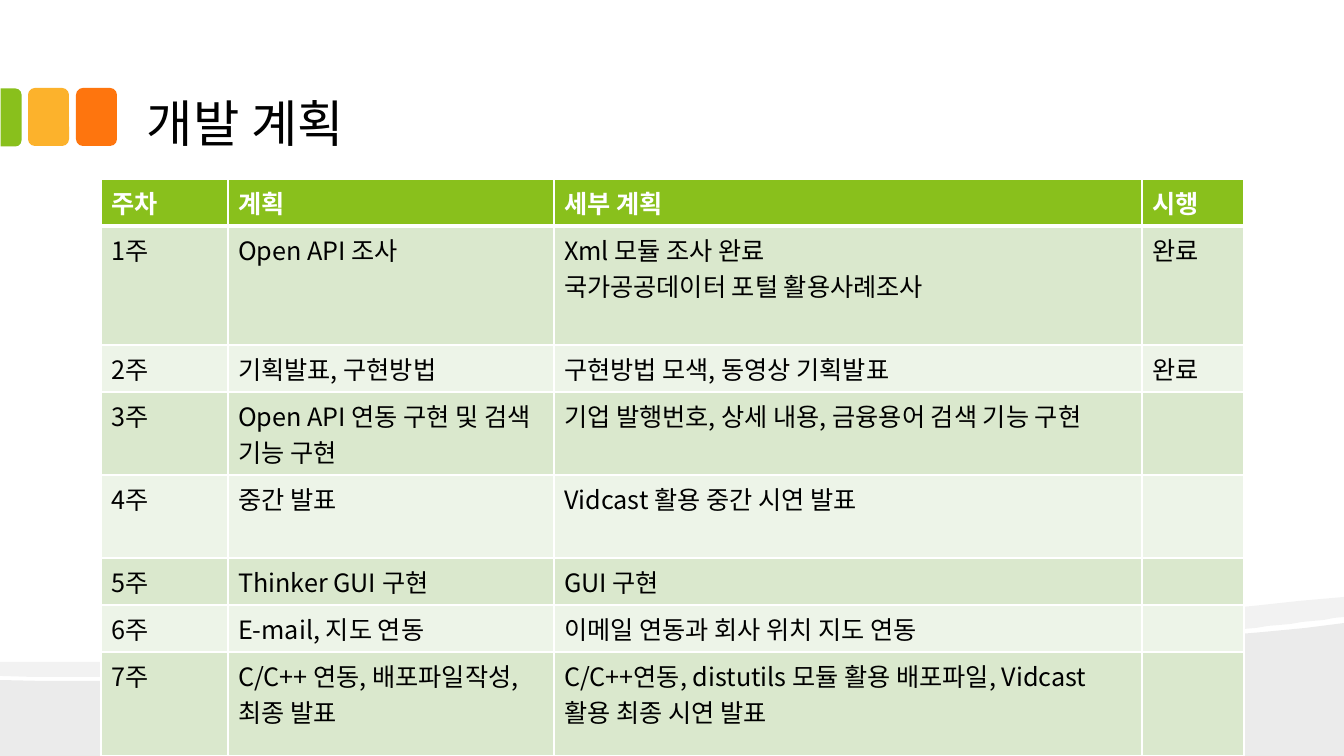
from lxml import etree
from pptx import Presentation
from pptx.dml.color import RGBColor
from pptx.enum.shapes import MSO_SHAPE
from pptx.enum.text import MSO_ANCHOR
from pptx.oxml.ns import qn
from pptx.util import Emu, Pt

ROUNDED = MSO_SHAPE.ROUNDED_RECTANGLE
ROUNDED_TOP = MSO_SHAPE.ROUND_2_SAME_RECTANGLE
BOTTOM = MSO_ANCHOR.BOTTOM

BLACK = RGBColor(0x00, 0x00, 0x00)
WHITE = RGBColor(0xFF, 0xFF, 0xFF)
GREEN = RGBColor(0x89, 0xC0, 0x1C)
YELLOW = RGBColor(0xFC, 0xB2, 0x2C)
ORANGE = RGBColor(0xFE, 0x75, 0x0E)
BAND_DARK = RGBColor(0xDA, 0xE8, 0xCD)
BAND_LIGHT = RGBColor(0xED, 0xF4, 0xE8)

FONT = "Noto Sans CJK KR"
WIDTH, HEIGHT = 1344, 756
SCALE = 12192000 / WIDTH

COLUMN_WIDTHS = [127, 326, 588, 102]
ROW_HEIGHTS = [47, 119, 47, 83, 83, 47, 47, 104]
PLAN = [
    ["주차", "계획", "세부 계획", "시행"],
    ["1주", "Open API 조사", "Xml 모듈 조사 완료\n국가공공데이터 포털 활용사례조사", "완료"],
    ["2주", "기획발표, 구현방법", "구현방법 모색, 동영상 기획발표", "완료"],
    ["3주", "Open API 연동 구현 및 검색 기능 구현",
     "기업 발행번호, 상세 내용, 금융용어 검색 기능 구현", ""],
    ["4주", "중간 발표", "Vidcast 활용 중간 시연 발표", ""],
    ["5주", "Thinker GUI 구현", "GUI 구현", ""],
    ["6주", "E-mail, 지도 연동", "이메일 연동과 회사 위치 지도 연동", ""],
    ["7주", "C/C++ 연동, 배포파일작성, 최종 발표",
     "C/C++연동, distutils 모듈 활용 배포파일, Vidcast 활용 최종 시연 발표", ""],
]


def px(n):
    return Emu(round(n * SCALE))


def curve(p0, p1, p2, p3, steps=24):
    """Points along a cubic Bezier curve, without its start."""
    points = []
    for i in range(1, steps + 1):
        t = i / steps
        u = 1 - t
        points.append(tuple(
            round(u**3 * a + 3 * u * u * t * b + 3 * u * t * t * c + t**3 * d, 2)
            for a, b, c, d in zip(p0, p1, p2, p3)))
    return points


class SlideBuilder:
    def __init__(self, slide):
        self.s = slide

    def paint(self, sp, color, alpha=None):
        sp.shadow.inherit = False
        sp.line.fill.background()
        sp.fill.solid()
        sp.fill.fore_color.rgb = color
        if alpha is not None:
            clr = sp.element.spPr.find(qn("a:solidFill")).find(qn("a:srgbClr"))
            etree.SubElement(clr, qn("a:alpha"), val=str(alpha * 1000))

    def outline(self, points, color, alpha):
        fb = self.s.shapes.build_freeform(*points[0], scale=SCALE)
        fb.add_line_segments(points[1:], close=True)
        self.paint(fb.convert_to_shape(), color, alpha)

    def shape(self, kind, x, y, w, h, color, rotation=0):
        sp = self.s.shapes.add_shape(kind, px(x), px(y), px(w), px(h))
        sp.rotation = rotation
        self.paint(sp, color)
        return sp

    def add_text(self, tf, text, size, color, bold=False):
        for i, line in enumerate(text.split("\n")):
            p = tf.paragraphs[0] if i == 0 else tf.add_paragraph()
            if not line:
                continue
            r = p.add_run()
            r.text = line
            r.font.name = FONT
            r.font.size = Pt(size)
            r.font.bold = bold
            r.font.color.rgb = color
            etree.SubElement(r._r.get_or_add_rPr(), qn("a:ea"), typeface=FONT)

    def title(self, text, x, y, w, h):
        tf = self.s.shapes.add_textbox(px(x), px(y), px(w), px(h)).text_frame
        tf.word_wrap = True
        tf.vertical_anchor = BOTTOM
        tf.margin_left = tf.margin_right = px(13)
        tf.margin_top = tf.margin_bottom = px(7)
        self.add_text(tf, text, 36, BLACK)

    def borders(self, cell, header, below_header):
        tc_pr = cell._tc.get_or_add_tcPr()
        widths = {"L": 1, "R": 1, "T": 3 if below_header else 1, "B": 3 if header else 1}
        for side, width in widths.items():
            ln = etree.SubElement(tc_pr, qn(f"a:ln{side}"), w=str(int(Pt(width))))
            fill = etree.SubElement(ln, qn("a:solidFill"))
            etree.SubElement(fill, qn("a:srgbClr"), val=str(WHITE))

    def table(self, x, y, rows):
        frame = self.s.shapes.add_table(
            len(rows), len(COLUMN_WIDTHS), px(x), px(y),
            px(sum(COLUMN_WIDTHS)), px(sum(ROW_HEIGHTS)))
        tbl = frame.table
        for column, width in zip(tbl.columns, COLUMN_WIDTHS):
            column.width = px(width)
        for i, (row, height, texts) in enumerate(zip(tbl.rows, ROW_HEIGHTS, rows)):
            row.height = px(height)
            header = i == 0
            band = GREEN if header else BAND_DARK if i % 2 else BAND_LIGHT
            for cell, text in zip(row.cells, texts):
                self.borders(cell, header, i == 1)
                cell.fill.solid()
                cell.fill.fore_color.rgb = band
                self.add_text(cell.text_frame, text, 18, WHITE if header else BLACK, header)


def main():
    prs = Presentation()
    prs.slide_width, prs.slide_height = px(WIDTH), px(HEIGHT)
    b = SlideBuilder(prs.slides.add_slide(prs.slide_layouts[6]))

    ground = [(WIDTH, HEIGHT), (0, HEIGHT), (0, 680)]
    ground += curve((0, 680), (355, 688), (1050, 660), (WIDTH, 623))
    b.outline(ground, BLACK, 8)

    ribbon = [(WIDTH, 597), (WIDTH, 617)]
    ribbon += curve((WIDTH, 617), (1265, 628), (1157, 638), (1037, 646))
    ribbon += curve((1037, 646), (704, 668), (260, 682), (0, 676))
    ribbon.append((0, 662))
    ribbon += curve((0, 662), (657, 667), (979, 632), (WIDTH, 597))
    b.outline(ribbon, BLACK, 5)

    for i, color in enumerate([YELLOW, ORANGE]):
        b.shape(ROUNDED, 28 + 48 * i, 88, 41, 58, color)
    tab = b.shape(ROUNDED_TOP, -18, 107, 58, 21, GREEN, rotation=90)
    tab.adjustments[0] = 0.29

    b.title("개발 계획", 134, 17, 1075, 143)
    b.table(101, 179, PLAN)
    prs.save("out.pptx")


if __name__ == "__main__":
    main()
